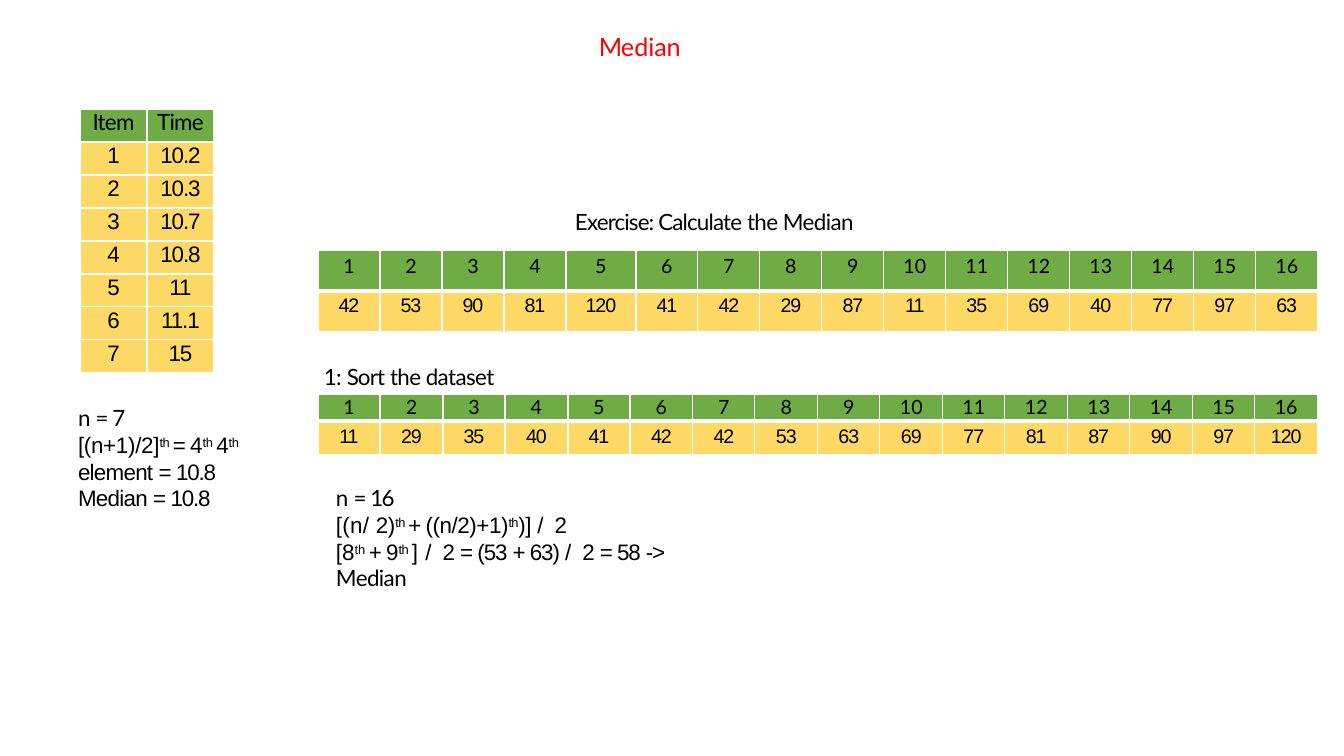
from pptx import Presentation
from pptx import util as u
from pptx.dml.color import RGBColor
from pptx.enum import text
from pptx.oxml import parse_xml
from pptx.oxml.ns import nsdecls

PX = 914400 / 100.8
COLORS = {"head": "6FAC46", "body": "FFD966", "grid": "FFFFFF",
          "title": "FF0000", "text": "000000"}
LATO, ARIAL = "Lato", "Arial"


def px(n):
    return u.Emu(round(n * PX))


def rgb(name):
    return RGBColor.from_string(COLORS[name])


def style_run(r, font, size, spacing=0, color="text", raised=False):
    r.font.name, r.font.size = font, u.Pt(size)
    r.font.color.rgb = rgb(color)
    rPr = r._r.get_or_add_rPr()
    rPr.set("spc", str(round(spacing * 100)))
    if raised:
        rPr.set("baseline", "26000")


def add_text(s, box, paragraphs, size=16, color="text", indent=1):
    """Each paragraph is (font, pieces); a piece is (text, spacing), and ^ raises it."""
    tf = s.shapes.add_textbox(*map(px, box)).text_frame
    tf.word_wrap = True
    tf.margin_left = tf.margin_right = tf.margin_bottom = 0
    tf.margin_top = px(1)
    for i, (font, pieces) in enumerate(paragraphs):
        p = tf.add_paragraph() if i else tf.paragraphs[0]
        p.space_before = u.Pt(0 if i else 0.9)
        p._p.get_or_add_pPr().set("marL", str(px(indent)))
        for piece, spacing in pieces:
            raised = piece.startswith("^")
            r = p.add_run()
            r.text = piece.lstrip("^")
            style_run(r, font, 15.8 if raised else size, spacing, color, raised)


def set_borders(cell, top, bottom):
    tcPr = cell._tc.get_or_add_tcPr()
    for i, (side, width) in enumerate(zip("LRTB", (1, 1, top, bottom))):
        tcPr.insert(i, parse_xml(
            f'<a:ln{side} {nsdecls("a")} w="{u.Pt(width)}"><a:solidFill>'
            f'<a:srgbClr val="{COLORS["grid"]}"/></a:solidFill></a:ln{side}>'))


def add_grid(s, left, top, widths, heights, rows, size, rule=1, pads=None, line=None):
    """pads gives the top margin in px and the space before in points, by row."""
    table = s.shapes.add_table(len(rows), len(widths), px(left), px(top),
                               px(sum(widths)), px(sum(heights))).table
    table.horz_banding = False
    for col, width in zip(table.columns, widths):
        col.width = px(width)
    for i, values in enumerate(rows):
        table.rows[i].height = px(heights[i])
        margin, before = pads[i] if pads else (0, 0)
        for j, value in enumerate(values):
            cell = table.cell(i, j)
            cell.margin_left = cell.margin_right = cell.margin_bottom = 0
            cell.margin_top = px(margin)
            cell.fill.solid()
            cell.fill.fore_color.rgb = rgb("body" if i else "head")
            set_borders(cell, rule if i == 1 else 1, 1 if i else rule)
            p = cell.text_frame.paragraphs[0]
            p.text = str(value)
            p.alignment = text.PP_ALIGN.CENTER
            p.space_before = u.Pt(before)
            if line:
                p.line_spacing = u.Pt(line)
            spacing = -0.8 if i and len(p.text) > 1 else 0
            if p.text.isalpha():
                spacing = -0.5
            style_run(p.runs[0], ARIAL if i else LATO, size, spacing)
            p.runs[0].font.bold = False


def main():
    prs = Presentation()
    prs.slide_width, prs.slide_height = px(1344), px(756)
    s = prs.slides.add_slide(prs.slide_layouts[6])

    # Worked example with seven items
    times = [10.2, 10.3, 10.7, 10.8, 11, 11.1, 15]
    add_grid(s, 80, 109, [67] * 2, [33] * 8,
             [("Item", "Time"), *enumerate(times, 1)], 16, line=18.9)

    # Title and headings
    add_text(s, (598, 30, 84, 33),
             [(LATO, [("Me", -0.7), ("d", -0.5), ("ian", -0.1)])], 18, "title")
    add_text(s, (574, 207, 285, 29),
             [(LATO, [("Exercise: Calculate ", -0.6), ("the Median", -0.4)])])
    add_text(s, (323, 362, 174, 29),
             [(LATO, [("1: ", -0.5), ("Sort ", -0.6), ("the dataset", -0.4)])])

    # Median of an odd count
    add_text(s, (74, 403, 174, 110), [
        (LATO, [("n ", -0.4), ("= ", -1.4), ("7", -1.2)]),
        (ARIAL, [("[(n+1)/2]", -0.2), ("^th ", -0.3), ("= ", -1.4), ("4", -0.1),
                 ("^th ", -0.2), ("4", -0.2), ("^th ", -0.3), ("element ", -0.5),
                 ("= ", -1.4), ("10.8 ", -0.8), ("Median ", -0.5), ("= ", -1.4),
                 ("10.8", -0.8)]),
    ], indent=4)

    # Exercise data, as given and sorted
    data = [42, 53, 90, 81, 120, 41, 42, 29, 87, 11, 35, 69, 40, 77, 97, 63]
    ranks = range(1, len(data) + 1)
    add_grid(s, 318, 250, [62] * 4 + [70] + [62] * 11, [41, 41],
             [ranks, data], 14, 3, [(4, 2.7), (4, 2.7)])
    add_grid(s, 318, 394, [62, 63] * 8, [27, 34],
             [ranks, sorted(data)], 14, 3, [(1, 0.9), (5, 3.6)])

    # Median of an even count
    add_text(s, (332, 483, 404, 110), [
        (LATO, [("n ", -0.4), ("= ", -1.4), ("16", -1.2)]),
        (ARIAL, [("[(n/ ", 0.2), ("2)", -0.3), ("^th ", -0.4), ("+ ", -1.4),
                 ("((n/2)+1)", -0.3), ("^th", -0.5), (")] ", -0.3), ("/ ", 1.7),
                 ("2", -0.8)]),
        (ARIAL, [("[8", 0), ("^th ", 0), ("+ ", -1.4), ("9", -0.2), ("^th ", -0.3),
                 ("] ", 0.4), ("/ ", 1.7), ("2 ", -0.8), ("= ", -1.4), ("(53 ", -0.8),
                 ("+ ", -1.4), ("63) ", -0.8), ("/ ", 1.7), ("2 ", -0.8),
                 ("= ", -1.4), ("58 ", -0.8), ("->", -0.9)]),
        (LATO, [("Median", -0.4)]),
    ], indent=4)

    prs.save("out.pptx")


if __name__ == "__main__":
    main()
